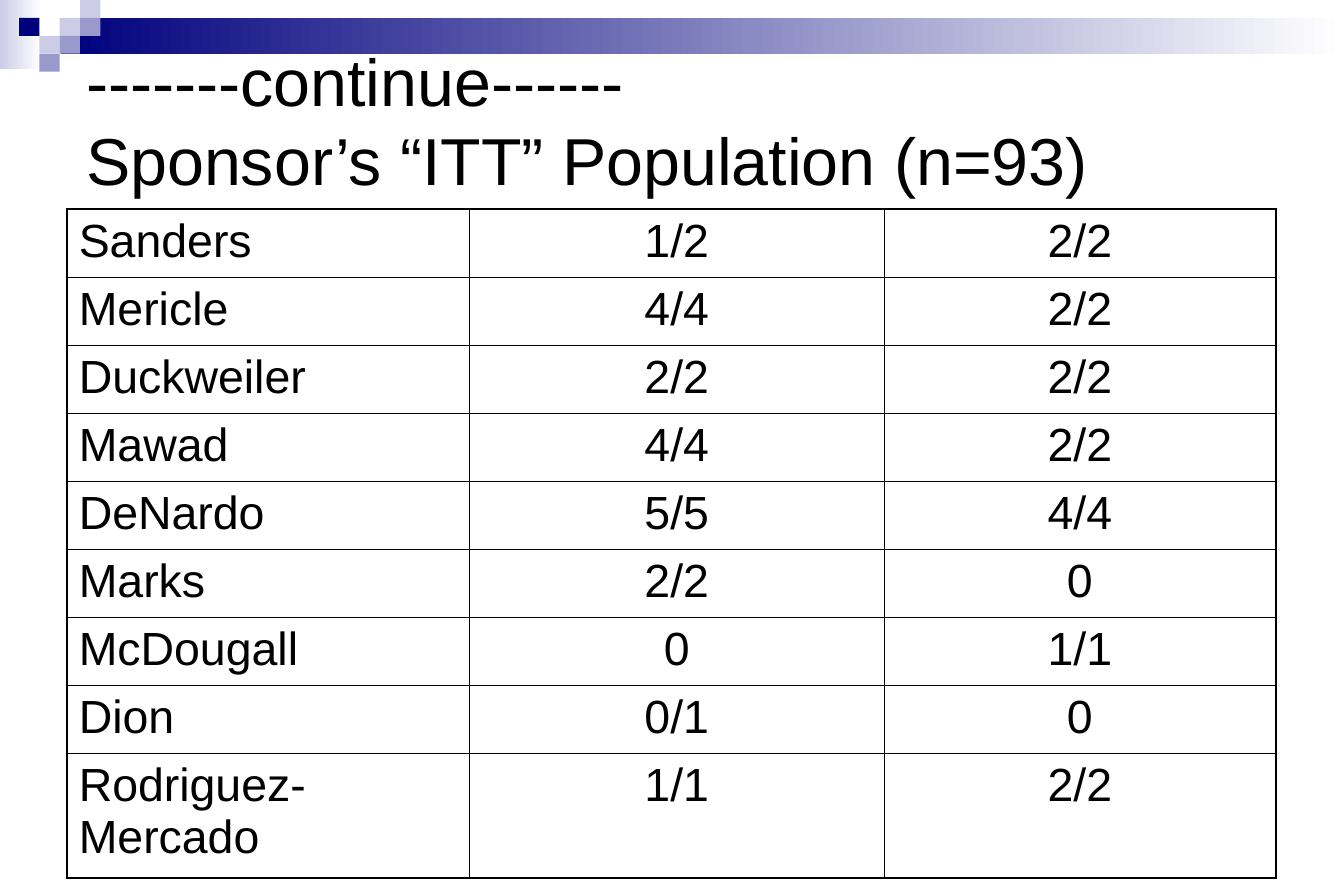
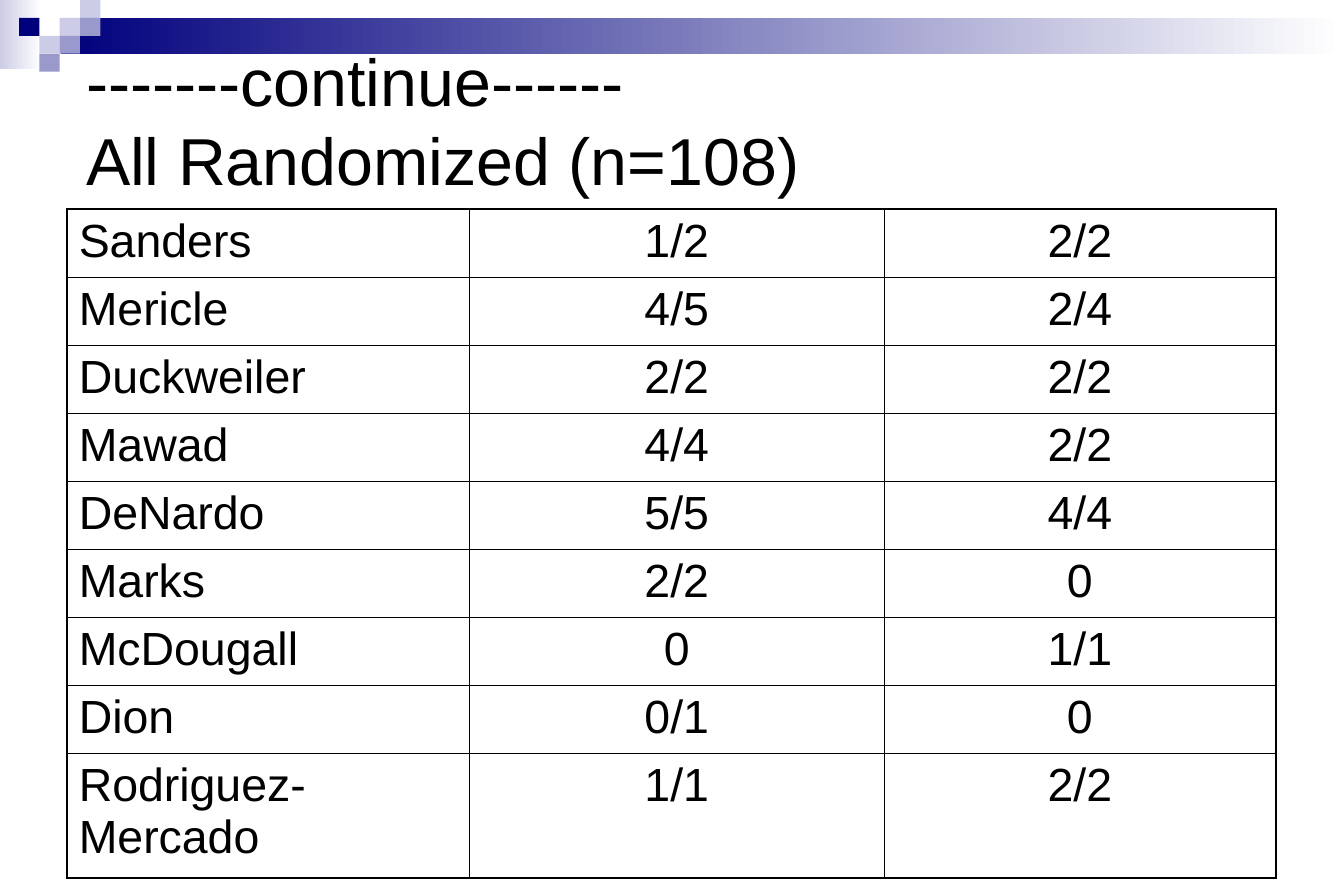
from dataclasses import dataclass, field

import lxml.etree
import pptx
import pptx.dml.color
import pptx.enum.shapes
import pptx.enum.text
import pptx.oxml.ns
import pptx.util

Inches = pptx.util.Inches
Pt = pptx.util.Pt

FONT = "Arial"
COLORS = {
    "text": "000000",
    "white": "FFFFFF",
    "navy": "00007D",
    "mid": "9999CC",
    "pale": "CCCCE6",
}
SIDES = ("lnL", "lnR", "lnT", "lnB")
OUTER, INNER = 1.08, 0.45
COL_WIDTHS = (3.37, 3.47, 3.28)
ROW_HEIGHT, LAST_ROW_HEIGHT = 0.57, 1.04
TILE_W, TILE_H = 0.17, 0.15

Results = dict[str, tuple[str, str]]


@dataclass
class Block:
    left: float
    top: float
    width: float
    height: float
    color: str
    fades: bool = False


@dataclass
class Population:
    heading: str
    changes: Results = field(default_factory=dict)


def tile(col: int, row: int, color: str) -> Block:
    return Block(round(0.16 + col * TILE_W, 2), row * TILE_H, TILE_W, TILE_H, color)


BLOCKS = [
    Block(0, 0, 0.35, 0.58, "pale", True),
    Block(0.51, 0.15, 10.74, 0.3, "navy", True),
    tile(2, 1, "pale"),
    tile(3, 0, "pale"),
    tile(3, 1, "mid"),
    tile(1, 2, "pale"),
    tile(0, 1, "navy"),
    tile(2, 2, "mid"),
    tile(1, 3, "mid"),
]

RESULTS: Results = {
    "Sanders": ("1/2", "2/2"),
    "Mericle": ("4/4", "2/2"),
    "Duckweiler": ("2/2", "2/2"),
    "Mawad": ("4/4", "2/2"),
    "DeNardo": ("5/5", "4/4"),
    "Marks": ("2/2", "0"),
    "McDougall": ("0", "1/1"),
    "Dion": ("0/1", "0"),
    "Rodriguez-Mercado": ("1/1", "2/2"),
}

POPULATIONS = [
    Population("Sponsor’s “ITT” Population (n=93)"),
    Population("All Randomized (n=108)", {"Mericle": ("4/5", "2/4")}),
]


def rgb(name: str) -> pptx.dml.color.RGBColor:
    return pptx.dml.color.RGBColor.from_string(COLORS[name])


def format_runs(p, size: float) -> None:
    for r in p.runs:
        r.font.name = FONT
        r.font.size = Pt(size)
        r.font.color.rgb = rgb("text")


def add_master_blocks(prs, s) -> None:
    master = prs.slide_master.shapes.element
    for i, block in enumerate(BLOCKS):
        sp = s.shapes.add_shape(
            pptx.enum.shapes.MSO_SHAPE.RECTANGLE,
            Inches(block.left), Inches(block.top),
            Inches(block.width), Inches(block.height),
        )
        sp.shadow.inherit = False
        sp.line.fill.background()
        if block.fades:
            sp.fill.gradient()
            sp.fill.gradient_angle = 0
            start, end = sp.fill.gradient_stops
            start.color.rgb = rgb(block.color)
            end.color.rgb = rgb("white")
        else:
            sp.fill.solid()
            sp.fill.fore_color.rgb = rgb(block.color)
        sp.element.nvSpPr.cNvPr.set("id", str(100 + i))
        master.insert(2 + i, sp.element)


def add_title(s, heading: str) -> None:
    sp = s.shapes.title
    sp.left, sp.top = Inches(0.62), Inches(0.25)
    sp.width, sp.height = Inches(10.12), Inches(1.5)
    tf = sp.text_frame
    tf.word_wrap = True
    tf.auto_size = pptx.enum.text.MSO_AUTO_SIZE.NONE
    tf.vertical_anchor = pptx.enum.text.MSO_ANCHOR.MIDDLE
    p = tf.paragraphs[0]
    p.text = f"-------continue------\v{heading}"
    p.alignment = pptx.enum.text.PP_ALIGN.LEFT
    format_runs(p, 40)


def set_borders(cell, widths: tuple[float, ...]) -> None:
    qn = pptx.oxml.ns.qn
    tc_pr = cell._tc.get_or_add_tcPr()
    for side, width in zip(SIDES, widths):
        ln = lxml.etree.SubElement(tc_pr, qn(f"a:{side}"), w=str(int(Pt(width))))
        fill = lxml.etree.SubElement(ln, qn("a:solidFill"))
        lxml.etree.SubElement(fill, qn("a:srgbClr"), val=COLORS["text"])


def add_results(s, results: Results) -> None:
    last_row, last_col = len(results) - 1, len(COL_WIDTHS) - 1
    heights = [ROW_HEIGHT] * last_row + [LAST_ROW_HEIGHT]
    table = s.shapes.add_table(
        len(heights), len(COL_WIDTHS), Inches(0.56), Inches(1.75),
        Inches(sum(COL_WIDTHS)), Inches(sum(heights)),
    ).table
    table.first_row = False
    table.horz_banding = False
    for column, width in zip(table.columns, COL_WIDTHS):
        column.width = Inches(width)
    for row, height in zip(table.rows, heights):
        row.height = Inches(height)
    align = pptx.enum.text.PP_ALIGN
    for i, (name, values) in enumerate(results.items()):
        for j, text in enumerate((name, *values)):
            cell = table.cell(i, j)
            p = cell.text_frame.paragraphs[0]
            p.text = text
            p.alignment = align.CENTER if j else align.LEFT
            format_runs(p, 28)
            on_edge = (j == 0, j == last_col, i == 0, i == last_row)
            set_borders(cell, tuple(OUTER if edge else INNER for edge in on_edge))
            cell.fill.background()


def main() -> None:
    prs = pptx.Presentation()
    prs.slide_width, prs.slide_height = Inches(11.25), Inches(7.5)
    for i, population in enumerate(POPULATIONS):
        s = prs.slides.add_slide(prs.slide_layouts[5])
        if i == 0:
            add_master_blocks(prs, s)
        add_title(s, population.heading)
        add_results(s, RESULTS | population.changes)
    prs.save("out.pptx")


if __name__ == "__main__":
    main()
